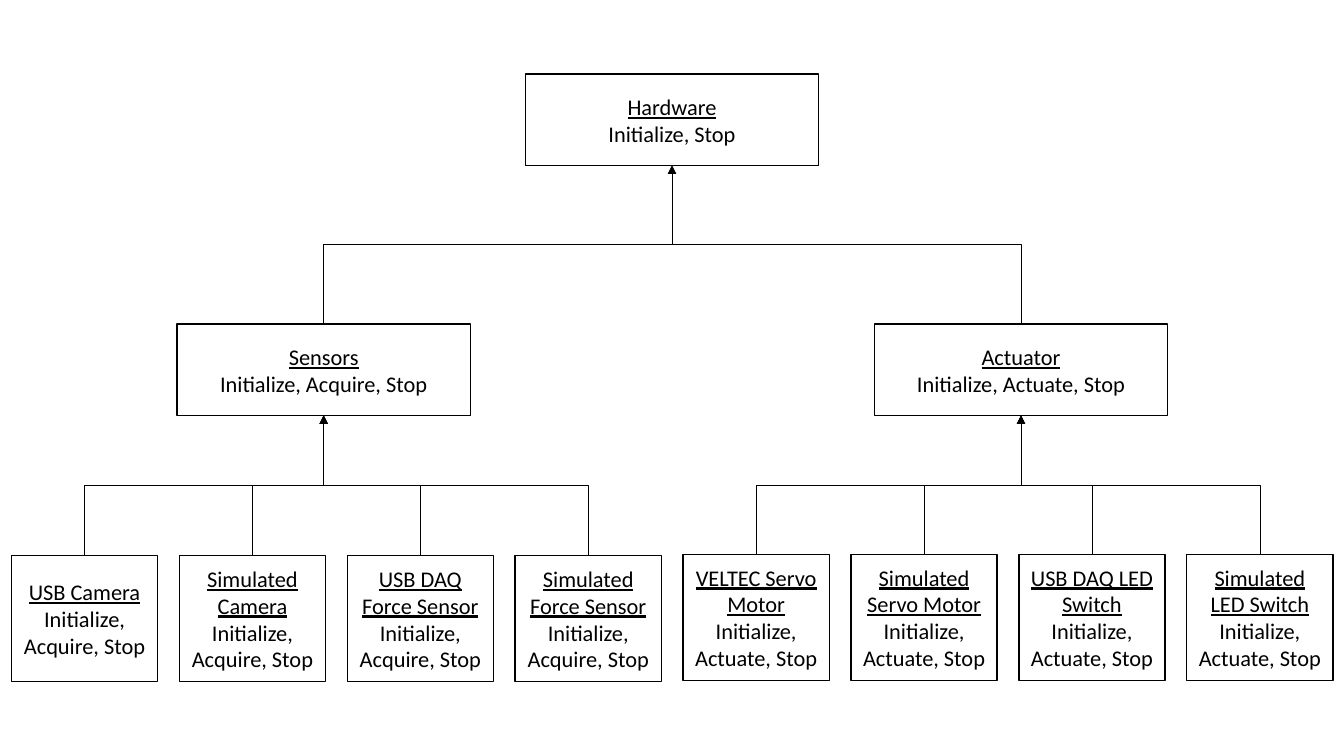
from pptx import Presentation
from pptx.dml.color import RGBColor
from pptx.enum.shapes import MSO_CONNECTOR, MSO_SHAPE
from pptx.enum.text import MSO_ANCHOR, PP_ALIGN
from pptx.oxml.ns import qn
from pptx.util import Pt
from lxml.etree import SubElement

BLACK = RGBColor(0, 0, 0)
WHITE = RGBColor(255, 255, 255)

prs = Presentation()
prs.slide_width, prs.slide_height = Pt(960), Pt(540)
s = prs.slides.add_slide(prs.slide_layouts[6])


def add_box(cx, top, w, h, name, methods):
    sp = s.shapes.add_shape(MSO_SHAPE.RECTANGLE, Pt(cx - w / 2), Pt(top), Pt(w), Pt(h))
    sp.shadow.inherit = False
    sp.fill.solid()
    sp.fill.fore_color.rgb = WHITE
    sp.line.color.rgb = BLACK
    sp.line.width = Pt(1)
    tf = sp.text_frame
    tf.word_wrap = True
    tf.vertical_anchor = MSO_ANCHOR.MIDDLE
    for i, text in enumerate((name, methods)):
        p = tf.paragraphs[0] if i == 0 else tf.add_paragraph()
        p.alignment = PP_ALIGN.CENTER
        r = p.add_run()
        r.text = text
        r.font.name = "Calibri"
        r.font.size = Pt(16)
        r.font.color.rgb = BLACK
        r.font.underline = i == 0
    return sp


def add_arrow(child, parent):
    x1, y1 = child.left + child.width // 2, child.top
    x2, y2 = parent.left + parent.width // 2, parent.top + parent.height
    cx, cy = (x1 + x2) // 2, (y1 + y2) // 2
    rise, run = (y1 - y2) // 2, abs(x2 - x1) // 2
    side = 1 if x2 > x1 else -1
    cn = s.shapes.add_connector(MSO_CONNECTOR.ELBOW, x1, y1, x2, y2)
    cn.begin_connect(child, 0)
    cn.end_connect(parent, 2)
    cn.begin_x, cn.begin_y = cx + side * rise, cy + run
    cn.end_x, cn.end_y = cx - side * rise, cy - run
    spPr = cn._element.spPr
    spPr.find(qn("a:xfrm")).set("rot", str((90 if side == 1 else 270) * 60000))
    cn.line.color.rgb = BLACK
    cn.line.width = Pt(0.5)
    SubElement(spPr.find(qn("a:ln")), qn("a:tailEnd"), type="triangle")
    SubElement(spPr, qn("a:effectLst"))


branches = [
    ("Sensors", 231.2, "Initialize, Acquire, Stop", 396.9,
     ["USB Camera", "Simulated Camera", "USB DAQ Force Sensor", "Simulated Force Sensor"]),
    ("Actuator", 729.3, "Initialize, Actuate, Stop", 396,
     ["VELTEC Servo Motor", "Simulated Servo Motor", "USB DAQ LED Switch", "Simulated LED Switch"]),
]

hardware = add_box(480, 52.8, 209.5, 65.5, "Hardware", "Initialize, Stop")
links = []
for b, (name, cx, methods, leaf_top, leaves) in enumerate(branches):
    branch = add_box(cx, 231.4, 209.5, 65.5, name, methods)
    links.append((branch, hardware))
    for i, leaf in enumerate(leaves):
        leaf_cx = 60.4 + 119.93 * (4 * b + i)
        links.append((add_box(leaf_cx, leaf_top, 104.4, 90, leaf, methods), branch))

for child, parent in links:
    add_arrow(child, parent)

prs.save("out.pptx")
